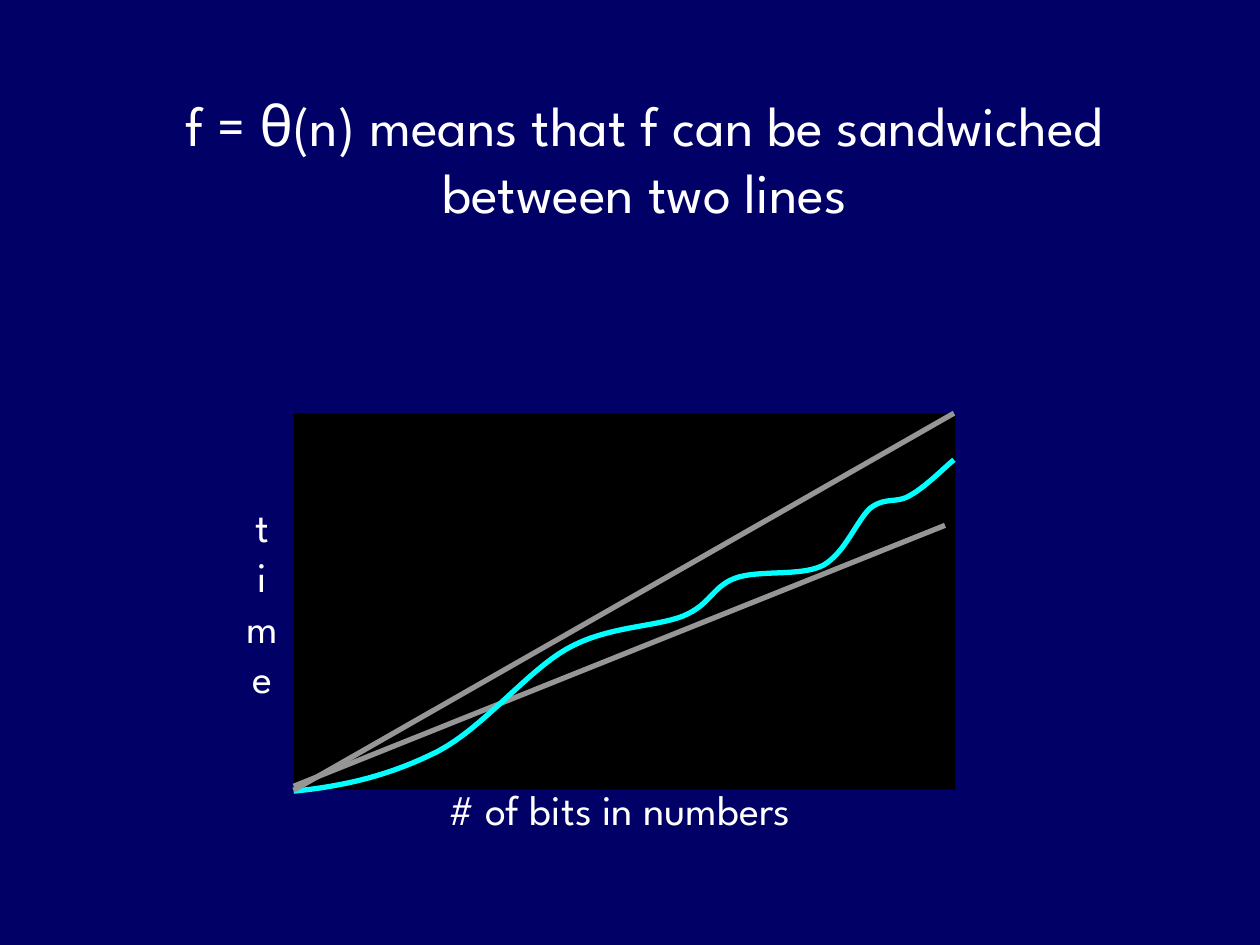
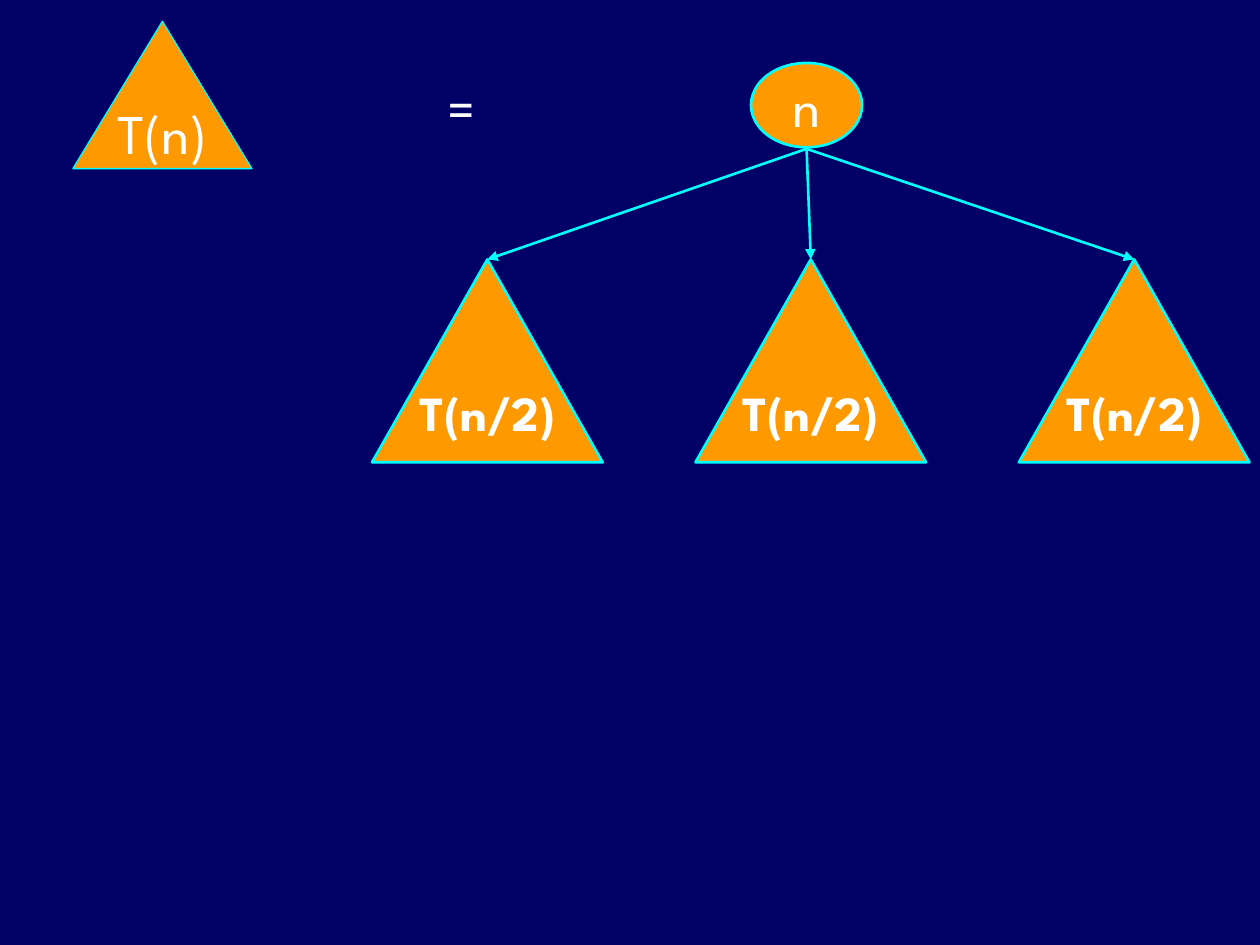
from dataclasses import dataclass

import pptx
import pptx.dml.color
import pptx.enum.shapes
import pptx.enum.text
import pptx.oxml
import pptx.oxml.ns
import pptx.util
from pptx.util import Cm

COLORS = {
    "background": "000066",
    "plot": "000000",
    "text": "FFFFFF",
    "bound": "969696",
    "accent": "00FFFF",
    "node": "FF9900",
}
FONT = "League Spartan"
GREEK_FONT = "Comic Neue"
TITLE_LAYOUT, BLANK_LAYOUT = 5, 6
SHAPES = pptx.enum.shapes.MSO_SHAPE
ANCHOR = pptx.enum.text.MSO_ANCHOR

Point = tuple[float, float]


@dataclass(frozen=True)
class Box:
    """Position and size in centimetres."""
    left: float
    top: float
    width: float
    height: float

    def lengths(self) -> tuple[Cm, Cm, Cm, Cm]:
        return Cm(self.left), Cm(self.top), Cm(self.width), Cm(self.height)


@dataclass(frozen=True)
class Label:
    text: str
    box: Box
    size: int
    wrap: bool = True


@dataclass(frozen=True)
class Node:
    text: str
    box: Box
    kind: SHAPES
    size: int = 32
    bold: bool = False
    line_width: float = 1.5


@dataclass(frozen=True)
class Line:
    start: Point
    end: Point
    color: str
    width: float
    arrow: bool = False


def rgb(name: str) -> pptx.dml.color.RGBColor:
    return pptx.dml.color.RGBColor.from_string(COLORS[name])


def style_text(text_frame, size: int, bold: bool = False) -> None:
    for paragraph in text_frame.paragraphs:
        paragraph.alignment = pptx.enum.text.PP_ALIGN.CENTER
        for run in paragraph.runs:
            run.font.name = FONT
            run.font.size = pptx.util.Pt(size)
            run.font.bold = bold
            run.font.color.rgb = rgb("text")


def style_line(line, color: str, width: float) -> None:
    line.color.rgb = rgb(color)
    line.width = pptx.util.Pt(width)


def add_label(slide, label: Label) -> None:
    text_frame = slide.shapes.add_textbox(*label.box.lengths()).text_frame
    text_frame.word_wrap = label.wrap
    text_frame.text = label.text
    style_text(text_frame, label.size)


def add_node(slide, node: Node) -> None:
    shape = slide.shapes.add_shape(node.kind, *node.box.lengths())
    shape.shadow.inherit = False
    shape.fill.solid()
    shape.fill.fore_color.rgb = rgb("node")
    style_line(shape.line, "accent", node.line_width)
    text_frame = shape.text_frame
    text_frame.word_wrap = False
    text_frame.vertical_anchor = ANCHOR.MIDDLE
    text_frame.text = node.text
    style_text(text_frame, node.size, node.bold)


def add_line(slide, line: Line) -> None:
    ends = [Cm(value) for value in (*line.start, *line.end)]
    connector = slide.shapes.add_connector(
        pptx.enum.shapes.MSO_CONNECTOR.STRAIGHT, *ends)
    style_line(connector.line, line.color, line.width)
    properties = connector._element.spPr
    if line.arrow:
        tail = pptx.oxml.parse_xml(
            f'<a:tailEnd {pptx.oxml.ns.nsdecls("a")} type="triangle"/>')
        properties.find(pptx.oxml.ns.qn("a:ln")).append(tail)
    properties.append(pptx.oxml.parse_xml(
        f'<a:effectLst {pptx.oxml.ns.nsdecls("a")}/>'))


def bezier_points(controls: list[Point], steps: int = 16) -> list[Point]:
    """Sample a chain of cubic segments that share their end points."""
    points = [controls[0]]
    for first in range(0, len(controls) - 1, 3):
        segment = controls[first:first + 4]
        for step in range(1, steps + 1):
            t = step / steps
            weights = ((1 - t) ** 3, 3 * t * (1 - t) ** 2,
                       3 * t ** 2 * (1 - t), t ** 3)
            x, y = (sum(weight * point[axis]
                        for weight, point in zip(weights, segment))
                    for axis in (0, 1))
            points.append((x, y))
    return points


def add_curve(slide, controls: list[Point], color: str, width: float) -> None:
    start, *rest = [(Cm(x), Cm(y)) for x, y in bezier_points(controls)]
    builder = slide.shapes.build_freeform(*start)
    builder.add_line_segments(rest, close=False)
    curve = builder.convert_to_shape()
    curve.shadow.inherit = False
    curve.fill.background()
    style_line(curve.line, color, width)


def add_title(slide, parts: list[str], box: Box) -> None:
    title = slide.shapes.title
    title.left, title.top, title.width, title.height = box.lengths()
    text_frame = title.text_frame
    text_frame.word_wrap = True
    text_frame.auto_size = pptx.enum.text.MSO_AUTO_SIZE.NONE
    text_frame.vertical_anchor = ANCHOR.TOP
    for part in parts:
        text_frame.paragraphs[0].add_run().text = part
    style_text(text_frame, 32)
    for run in text_frame.paragraphs[0].runs:
        if run.text == "θ":
            run.font.name = GREEK_FONT


def build_sandwich_slide(presentation) -> None:
    slide = presentation.slides.add_slide(
        presentation.slide_layouts[TITLE_LAYOUT])
    plot = slide.shapes.add_shape(
        SHAPES.RECTANGLE, *Box(5.92, 8.33, 13.34, 7.59).lengths())
    plot.shadow.inherit = False
    plot.fill.solid()
    plot.fill.fore_color.rgb = rgb("plot")
    plot.line.fill.background()

    add_label(slide, Label("# of bits in numbers",
                           Box(8.23, 15.67, 8.51, 1.27), 24, wrap=False))
    add_label(slide, Label("\v".join("time"),
                           Box(4.65, 9.96, 1.27, 4.32), 24))
    add_line(slide, Line((19.05, 10.59), (5.92, 15.85), "bound", 3))
    running_time = [
        (5.92, 15.95),
        (6.96, 15.85), (7.9, 15.62), (8.84, 15.14),
        (9.75, 14.66), (10.62, 13.54), (11.43, 13.08),
        (12.24, 12.62), (13.18, 12.65), (13.77, 12.42),
        (14.33, 12.19), (14.35, 11.84), (14.81, 11.66),
        (15.29, 11.48), (16.13, 11.63), (16.59, 11.4),
        (17.04, 11.15), (17.27, 10.49), (17.55, 10.24),
        (17.86, 10.01), (18.08, 10.16), (18.36, 9.98),
        (18.64, 9.83), (19.05, 9.42), (19.23, 9.27),
    ]
    add_curve(slide, running_time, "accent", 3)
    add_line(slide, Line((5.92, 15.93), (19.23, 8.33), "bound", 3))
    add_title(slide, ["f = ", "θ", "(n) means that f can be sandwiched "
                      "between two lines"], Box(3.18, 1.7, 19.63, 3.61))


def build_recursion_slide(presentation) -> None:
    slide = presentation.slides.add_slide(
        presentation.slide_layouts[BLANK_LAYOUT])
    add_node(slide, Node("n", Box(15.14, 1.27, 2.24, 1.7), SHAPES.OVAL))
    children = [Box(7.5 + 6.52 * index, 5.23, 4.65, 4.09)
                for index in range(3)]
    for box in children:
        apex = (box.left + box.width / 2, box.top)
        add_line(slide, Line((16.26, 3), apex, "accent", 1.5, arrow=True))
    for box in children:
        add_node(slide, Node("T(n/2)", box, SHAPES.ISOSCELES_TRIANGLE,
                             size=28, bold=True))
    add_node(slide, Node("T(n)", Box(1.47, 0.43, 3.61, 2.97),
                         SHAPES.ISOSCELES_TRIANGLE, line_width=0.75))
    add_label(slide, Label("=", Box(7.82, 1.35, 2.97, 1.63), 32))


def main() -> None:
    presentation = pptx.Presentation()
    presentation.slide_width = Cm(25.4)
    presentation.slide_height = Cm(19.05)
    background = presentation.slide_master.background.fill
    background.solid()
    background.fore_color.rgb = rgb("background")
    build_sandwich_slide(presentation)
    build_recursion_slide(presentation)
    presentation.save("out.pptx")


if __name__ == "__main__":
    main()
